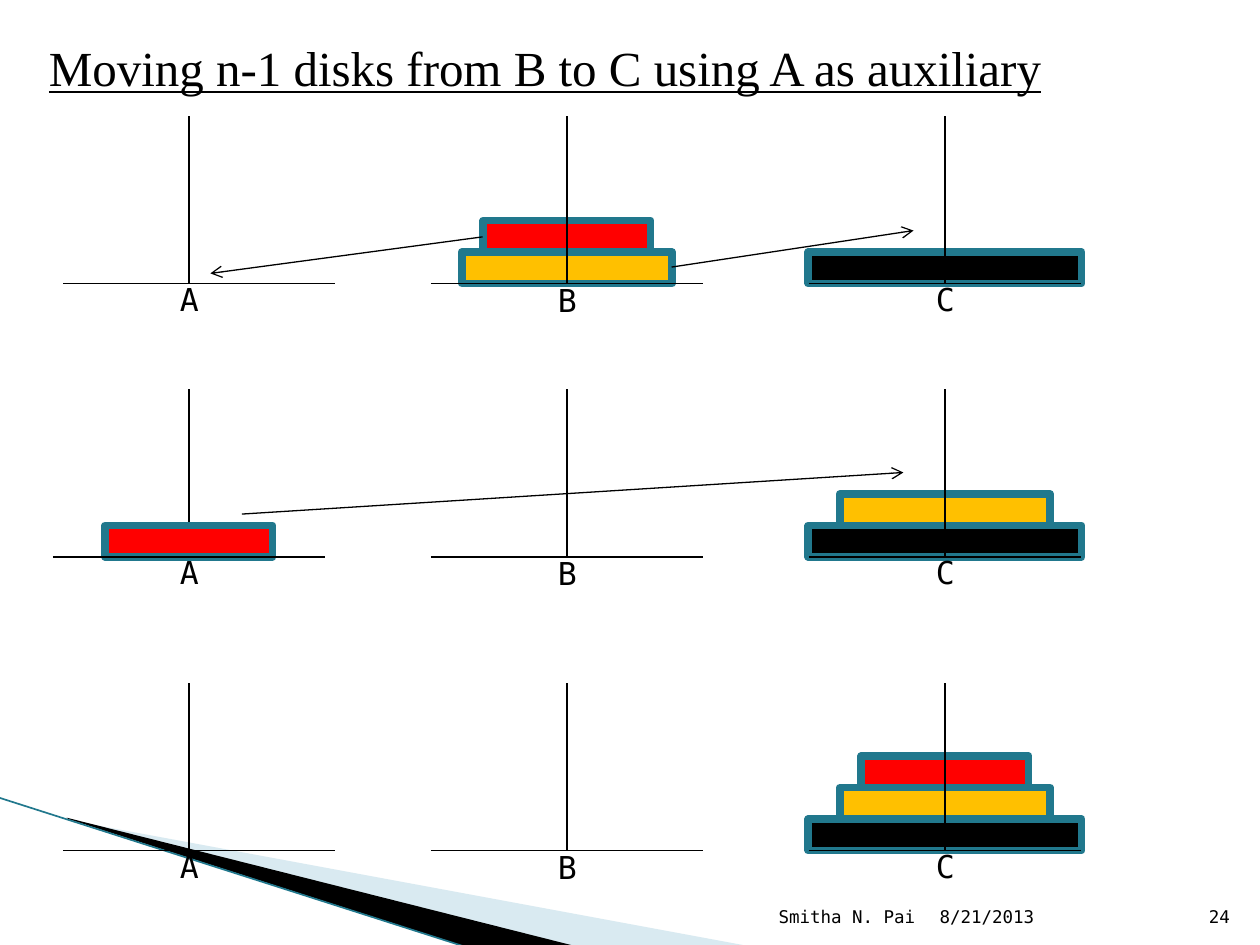
from lxml import etree
from pptx import Presentation
from pptx.dml.color import RGBColor
from pptx.enum import shapes, text
from pptx.oxml import ns
from pptx.util import Inches, Pt

BLACK = RGBColor(0x00, 0x00, 0x00)
RED = RGBColor(0xFF, 0x00, 0x00)
GOLD = RGBColor(0xFF, 0xC0, 0x00)
TEAL = RGBColor(0x21, 0x78, 0x8D)
PALE_BLUE = RGBColor(0xA0, 0xCB, 0xDC)
MONO = "DejaVu Sans Mono"

presentation = Presentation()
presentation.slide_width, presentation.slide_height = Inches(10), Inches(7.5)
slide = presentation.slides.add_slide(presentation.slide_layouts[6])


def add_text(content, left, top, width, height, size=18, font=MONO,
             align=text.PP_ALIGN.LEFT, anchor=text.MSO_ANCHOR.TOP,
             underline=False, indent=0, before=0):
    box = slide.shapes.add_textbox(Inches(left), Inches(top), Inches(width), Inches(height))
    frame = box.text_frame
    frame.word_wrap = True
    frame.vertical_anchor = anchor
    paragraph = frame.paragraphs[0]
    paragraph.alignment = align
    paragraph.space_before = Pt(before)
    if indent:
        properties = paragraph._p.get_or_add_pPr()
        properties.set("marL", str(Inches(0.4)))
        properties.set("indent", str(Inches(indent)))
    run = paragraph.add_run()
    run.text = content
    run.font.size = Pt(size)
    run.font.name = font
    run.font.underline = underline
    run.font.color.rgb = BLACK


def add_line(x1, y1, x2, y2, color=BLACK, width=0.75, arrow=False):
    line = slide.shapes.add_connector(
        shapes.MSO_CONNECTOR.STRAIGHT, Inches(x1), Inches(y1), Inches(x2), Inches(y2))
    line.line.color.rgb = color
    line.line.width = Pt(width)
    if arrow:
        etree.SubElement(line.line._get_or_add_ln(), ns.qn("a:tailEnd"), type="arrow")
    etree.SubElement(line._element.spPr, ns.qn("a:effectLst"))


# Corner decoration: pale wedge, black wedge, teal edge
wedges = [
    (PALE_BLUE, 40, [(0.55, 6.51), (5.95, 7.51), (4.56, 7.51), (0.55, 6.5)]),
    (BLACK, 100, [(0.53, 6.49), (4.57, 7.51), (3.72, 7.52), (0.54, 6.5)]),
]
for color, opacity, points in wedges:
    corners = [(Inches(x), Inches(y)) for x, y in points]
    builder = slide.shapes.build_freeform(*corners[0], scale=1.0)
    builder.add_line_segments(corners[1:], close=True)
    wedge = builder.convert_to_shape()
    wedge.shadow.inherit = False
    wedge.fill.solid()
    wedge.fill.fore_color.rgb = color
    wedge.line.fill.background()
    if opacity < 100:
        fill_color = wedge._element.spPr.find(".//" + ns.qn("a:srgbClr"))
        etree.SubElement(fill_color, ns.qn("a:alpha"), val=str(opacity * 1000))
add_line(-0.01, 6.33, 3.71, 7.52, color=TEAL, width=0.95)

# Title
add_text("Moving n-1 disks from B to C using A as auxiliary", 0.17, 0.25, 9.25, 7.08,
         size=28, font="Times New Roman", underline=True, indent=-0.28, before=4)

# Three stages: base height, left end of base A, disks on each peg from the bottom up
PEGS = {"A": 1.5, "B": 4.5, "C": 7.5}
DISK_WIDTHS = {BLACK: 2.17, GOLD: 1.67, RED: 1.33}
DISK_HEIGHT, POLE_HEIGHT, BASE_WIDTH = 0.25, 1.33, 2.16
stages = [
    (2.25, 0.5, {"B": [GOLD, RED], "C": [BLACK]}),
    (4.42, 0.42, {"A": [RED], "C": [BLACK, GOLD]}),
    (6.75, 0.5, {"C": [BLACK, GOLD, RED]}),
]
for base, left_base, stacks in stages:
    # Pole A stands behind its disk, poles B and C in front of theirs
    add_line(PEGS["A"], base, PEGS["A"], base - POLE_HEIGHT)
    for peg, disks in stacks.items():
        for level, color in enumerate(disks, start=1):
            width = DISK_WIDTHS[color]
            disk = slide.shapes.add_shape(
                shapes.MSO_SHAPE.RECTANGLE, Inches(PEGS[peg] - width / 2),
                Inches(base - level * DISK_HEIGHT), Inches(width), Inches(DISK_HEIGHT))
            disk.shadow.inherit = False
            disk.fill.solid()
            disk.fill.fore_color.rgb = color
            disk.line.color.rgb = TEAL
            disk.line.width = Pt(4.33)
    for peg in "BC":
        add_line(PEGS[peg], base, PEGS[peg], base - POLE_HEIGHT)
    for (peg, center), left in zip(PEGS.items(), (left_base, 3.42, 6.42)):
        add_line(left, base, left + BASE_WIDTH, base)
        label_rise = 0.07 if peg == "B" else 0.08
        add_text(peg, center - 0.17, base - label_rise, 0.42, 0.4)

# Moves
for move in [(3.83, 1.88, 1.67, 2.17), (5.33, 2.12, 7.25, 1.83), (1.92, 4.08, 7.17, 3.75)]:
    add_line(*move, arrow=True)

# Footer
footers = [
    ("8/21/2013", 7.36, 2.1, text.PP_ALIGN.LEFT),
    ("Smitha N. Pai", 4.79, 2.57, text.PP_ALIGN.RIGHT),
    ("24", 9.46, 0.4, text.PP_ALIGN.RIGHT),
]
for content, left, width, align in footers:
    add_text(content, left, 7.01, width, 0.4, size=10, align=align,
             anchor=text.MSO_ANCHOR.BOTTOM)

presentation.save("out.pptx")
